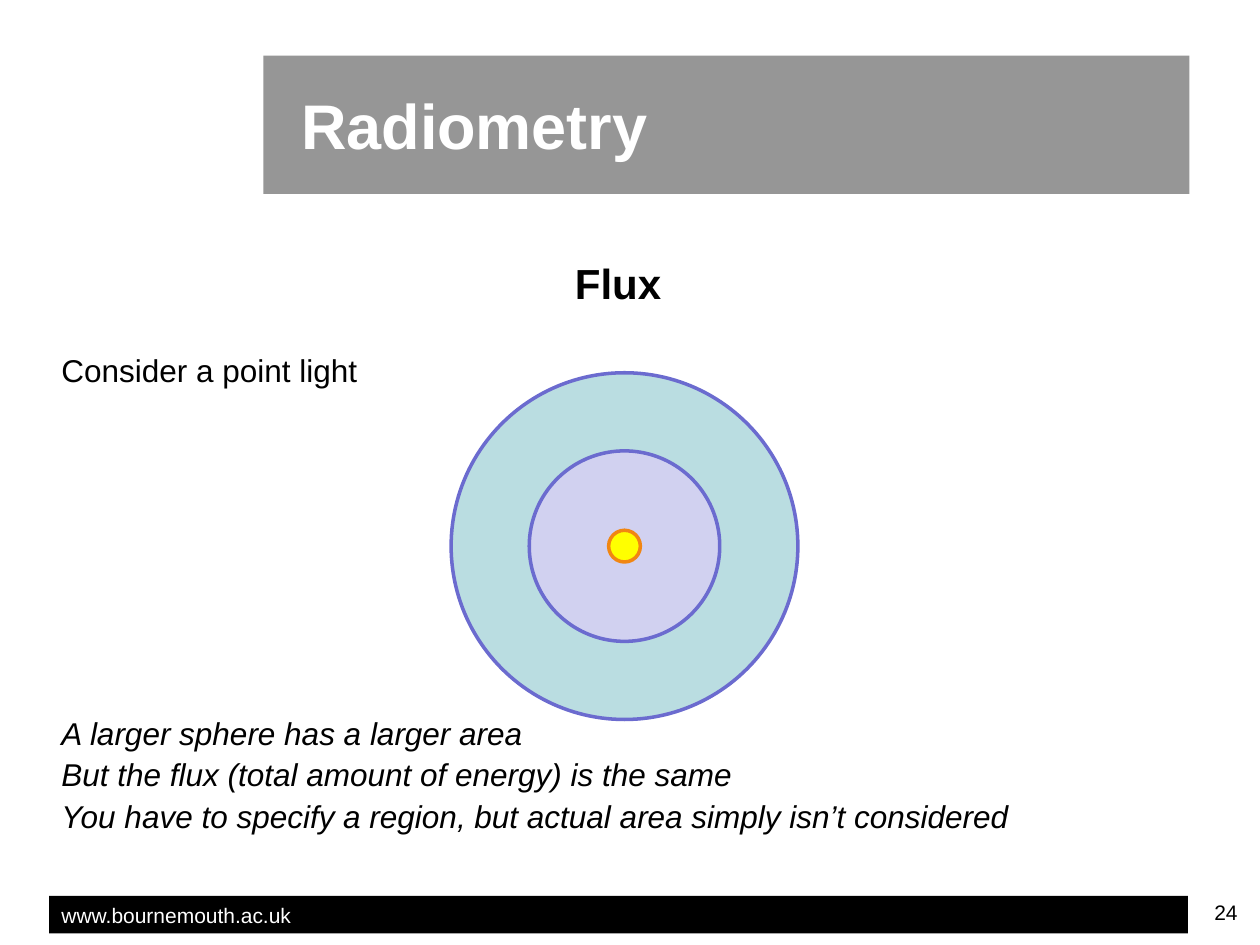
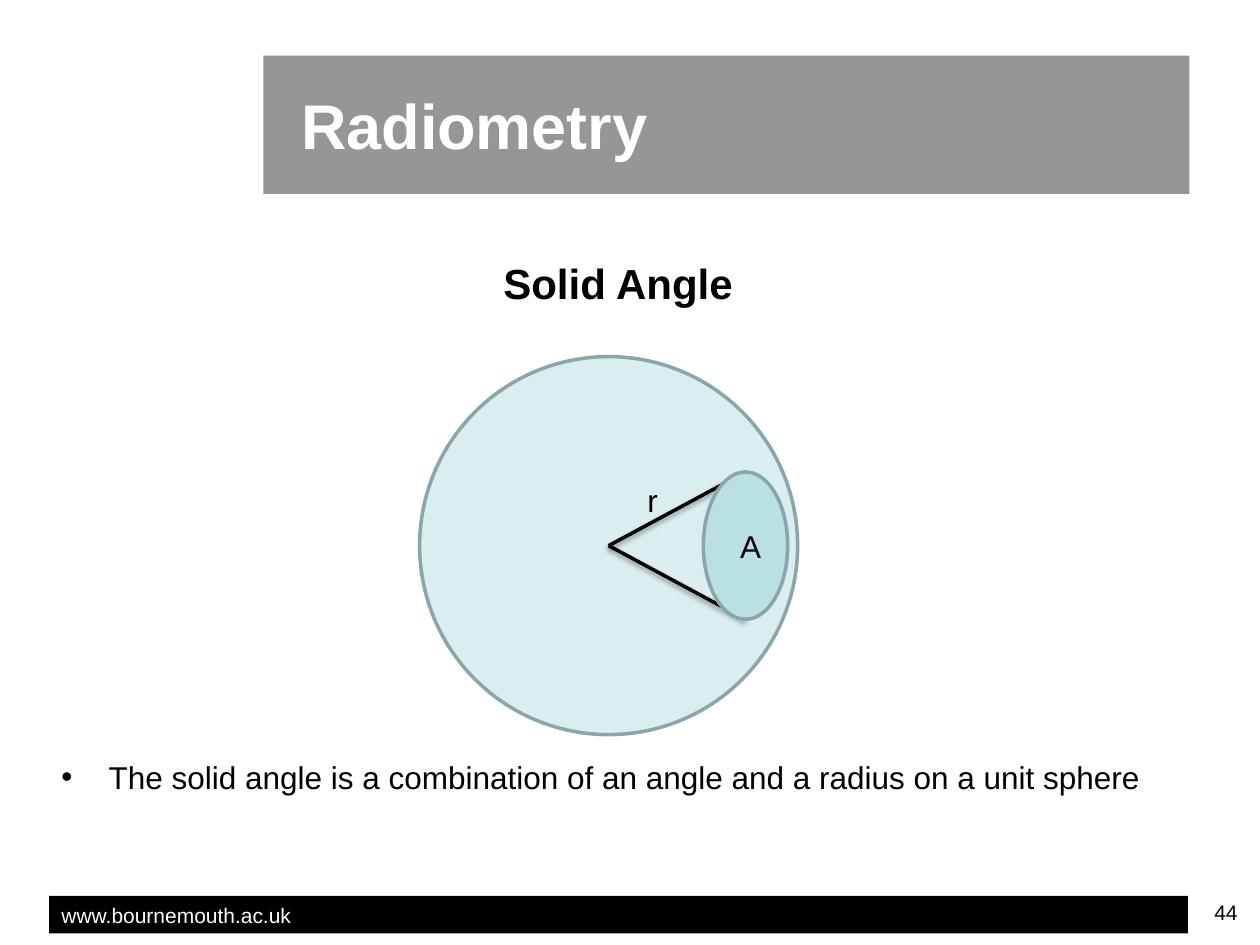
from lxml import etree
from pptx import Presentation
from pptx import util as u
from pptx.dml.color import RGBColor
from pptx.enum import shapes, text
from pptx.oxml.ns import qn

Cm, Pt = u.Cm, u.Pt
BLACK = RGBColor(0x00, 0x00, 0x00)
WHITE = RGBColor(0xFF, 0xFF, 0xFF)
GREY = RGBColor(0x96, 0x96, 0x96)
TEAL = RGBColor(0xBA, 0xDD, 0xE1)
LILAC = RGBColor(0xD1, 0xD1, 0xF0)
VIOLET = RGBColor(0x6B, 0x6B, 0xCF)
YELLOW = RGBColor(0xFF, 0xFF, 0x00)
ORANGE = RGBColor(0xF1, 0x86, 0x12)
PALE_TEAL = RGBColor(0xDA, 0xED, 0xEF)
CAP_TEAL = RGBColor(0xBB, 0xE0, 0xE3)
SLATE = RGBColor(0x8A, 0xA6, 0xA8)
LEFT, ALIGN, ANCHOR = Cm(0.99), text.PP_ALIGN, text.MSO_ANCHOR
BODY_W = Cm(22.94)


def add_text(s, box, lines, size=18, color=BLACK, fill=None, align=ALIGN.LEFT,
             bold=False, italic=False, spacing=1.0, anchor=ANCHOR.TOP):
    """Add a text box, or a filled rectangle when fill is given."""
    if fill is None:
        sp = s.shapes.add_textbox(*box)
    else:
        sp = s.shapes.add_shape(shapes.MSO_SHAPE.RECTANGLE, *box)
        sp.shadow.inherit = False
        sp.fill.solid()
        sp.fill.fore_color.rgb = fill
        sp.line.fill.background()
    tf = sp.text_frame
    tf.word_wrap = True
    tf.vertical_anchor = anchor
    for i, line in enumerate(lines):
        p = tf.add_paragraph() if i else tf.paragraphs[0]
        p.alignment, p.line_spacing = align, spacing
        if i:
            p.space_before = Pt(4.3)
        r = p.add_run()
        r.text = line
        r.font.name, r.font.size = "Arial", Pt(size)
        r.font.bold, r.font.italic = bold, italic
        r.font.color.rgb = color
    return sp


def add_oval(s, cx, cy, w, h, fill, line):
    """Add an ellipse around a centre given in centimetres."""
    sp = s.shapes.add_shape(shapes.MSO_SHAPE.OVAL, Cm(cx - w / 2), Cm(cy - h / 2), Cm(w), Cm(h))
    sp.shadow.inherit = False
    sp.fill.solid()
    sp.fill.fore_color.rgb = fill
    sp.line.color.rgb = line
    sp.line.width = Pt(2)


prs = Presentation()
prs.slide_width, prs.slide_height = Cm(25.4), Cm(19.05)

# Shared parts: footer, page number, title band and heading
slides = []
for heading, number in (("Flux", "24"), ("Solid Angle", "44")):
    s = prs.slides.add_slide(prs.slide_layouts[6])
    add_text(s, (LEFT, Cm(18.06), Cm(22.96), Cm(0.76)), ["www.bournemouth.ac.uk"],
             size=12, color=WHITE, fill=BLACK)
    add_text(s, (Cm(24.03), Cm(18.01), Cm(1.17), Cm(0.94)), [number], size=12, align=ALIGN.RIGHT)
    sp = add_text(s, (Cm(5.31), Cm(1.12), Cm(18.67), Cm(2.79)), ["Radiometry"],
                  size=36, color=WHITE, fill=GREY, bold=True, anchor=ANCHOR.MIDDLE)
    sp.text_frame.margin_left = Cm(0.76)
    add_text(s, (LEFT, Cm(5.19), BODY_W, Cm(1.2)), [heading],
             size=24, bold=True, align=ALIGN.CENTER, spacing=0.9)
    slides.append(s)
flux, solid_angle = slides

# Flux: body text
add_text(flux, (LEFT, Cm(7.03), BODY_W, Cm(1)), ["Consider a point light"], spacing=0.9)
add_text(flux, (LEFT, Cm(14.35), BODY_W, Cm(2.7)), [
    "A larger sphere has a larger area",
    "But the flux (total amount of energy) is the same",
    "You have to specify a region, but actual area simply isn’t considered",
], italic=True, spacing=0.9)

# Flux: two spheres around the point light
for size, fill, line in ((6.99, TEAL, VIOLET), (3.84, LILAC, VIOLET), (0.64, YELLOW, ORANGE)):
    add_oval(flux, 12.59, 11.01, size, size, fill, line)

# Solid angle: bulleted statement
sp = add_text(solid_angle, (LEFT, Cm(15.16), BODY_W, Cm(1)),
              ["The solid angle is a combination of an angle and a radius on a unit sphere"])
pPr = sp.text_frame.paragraphs[0]._p.get_or_add_pPr()
pPr.set("marL", str(Cm(0.95)))
pPr.set("indent", str(-Cm(0.95)))
etree.SubElement(pPr, qn("a:buFont")).set("typeface", "Arial")
etree.SubElement(pPr, qn("a:buChar")).set("char", "•")

# Solid angle: sphere, cone edges with soft shadows, and cap
cx, cy, cap_x, cap_h = 12.27, 11, 15.03, 2.97
add_oval(solid_angle, cx, cy, 7.62, 7.62, PALE_TEAL, SLATE)
for side in (-1, 1):
    edge = solid_angle.shapes.add_connector(shapes.MSO_CONNECTOR.STRAIGHT, Cm(cx), Cm(cy),
                                            Cm(cap_x), Cm(cy + side * cap_h / 2))
    edge.line.color.rgb = BLACK
    edge.line.width = Pt(2)
    effects = etree.SubElement(edge._element.spPr, qn("a:effectLst"))
    shadow = etree.SubElement(effects, qn("a:outerShdw"), blurRad=str(Pt(3.1)),
                              dist=str(Pt(1.6)), dir="5400000", rotWithShape="0")
    tint = etree.SubElement(shadow, qn("a:srgbClr"), val=str(BLACK))
    etree.SubElement(tint, qn("a:alpha"), val="38000")
add_oval(solid_angle, cap_x, cy, 1.7, cap_h, CAP_TEAL, SLATE)

# Solid angle: labels
add_text(solid_angle, (Cm(14.6), Cm(10.49), Cm(1.07), Cm(1.02)), ["A"], align=ALIGN.CENTER)
add_text(solid_angle, (Cm(12.8), Cm(9.58), Cm(0.84), Cm(1.02)), ["r"])

prs.save("out.pptx")
